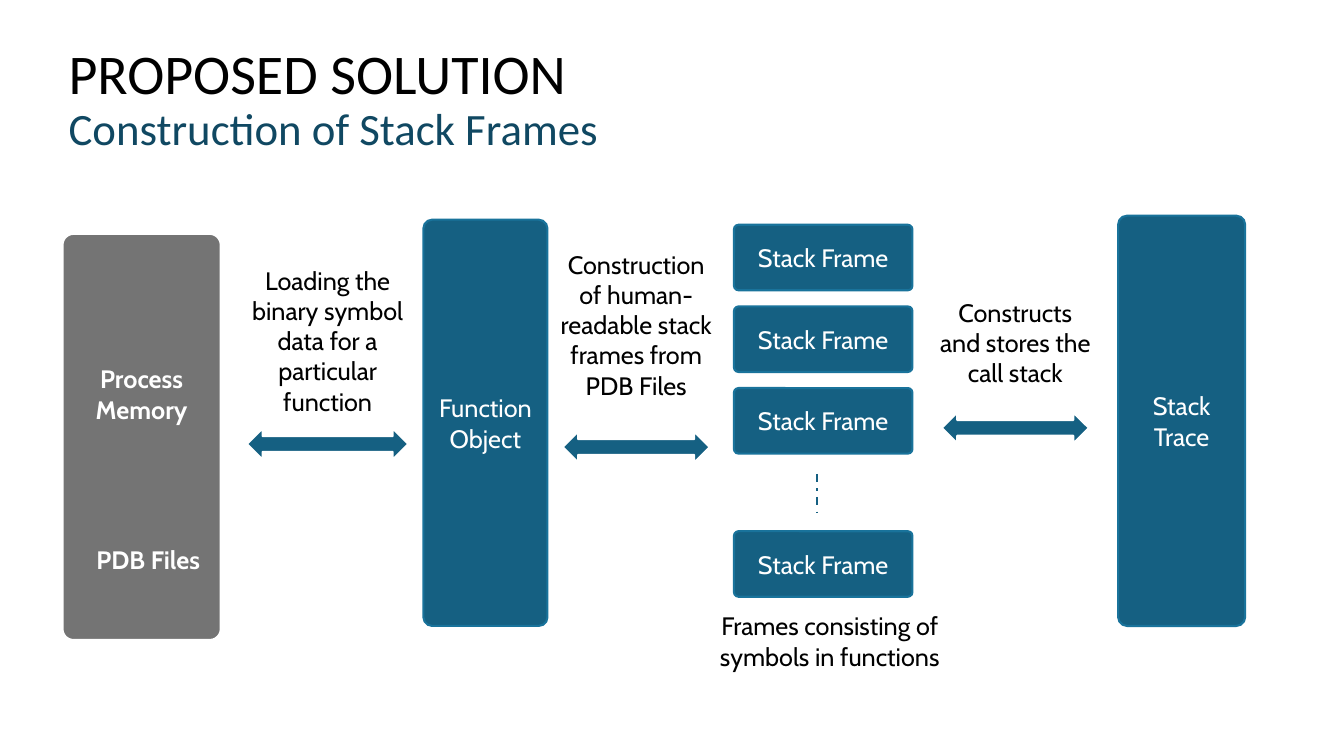
import pptx
import pptx.dml.color
import pptx.enum.dml
import pptx.enum.shapes
import pptx.enum.text
import pptx.oxml.ns
import pptx.util
from lxml import etree

Inches = pptx.util.Inches
Pt = pptx.util.Pt
Shape = pptx.enum.shapes.MSO_SHAPE
Anchor = pptx.enum.text.MSO_ANCHOR
Align = pptx.enum.text.PP_ALIGN
AutoSize = pptx.enum.text.MSO_AUTO_SIZE

COLOURS = {
    "blue": "156082",
    "edge": "19739B",
    "subtitle": "104862",
    "grey": "747474",
    "white": "FFFFFF",
    "black": "000000",
}


def colour(name):
    return pptx.dml.color.RGBColor.from_string(COLOURS[name])


def write(frame, text, tint, bold=False):
    """Fill a text frame with one centred paragraph."""
    frame.word_wrap = True
    para = frame.paragraphs[0]
    para.text = text
    para.alignment = Align.CENTER
    para.font.name = "Cabin"
    para.font.size = Pt(18)
    para.font.bold = bold
    para.font.color.rgb = colour(tint)


def add_figure(page, kind, box, fill="blue", edge="edge"):
    figure = page.shapes.add_shape(kind, *map(Inches, box))
    figure.shadow.inherit = False
    figure.fill.solid()
    figure.fill.fore_color.rgb = colour(fill)
    figure.line.color.rgb = colour(edge)
    figure.line.width = Pt(1.5)
    return figure


def add_block(page, box, text, fill="blue", edge="edge", bold=False):
    block = add_figure(page, Shape.ROUNDED_RECTANGLE, box, fill, edge)
    block.adjustments[0] = 0.07
    block.text_frame.vertical_anchor = Anchor.MIDDLE
    write(block.text_frame, text, "white", bold)
    return block


def add_label(page, box, text, tint="black", bold=False):
    label = page.shapes.add_textbox(*map(Inches, box))
    write(label.text_frame, text, tint, bold)
    label.text_frame.auto_size = AutoSize.SHAPE_TO_FIT_TEXT


def add_heading(page, box):
    title = page.shapes.title
    title.left, title.top, title.width, title.height = map(Inches, box)
    frame = title.text_frame
    frame.auto_size = AutoSize.NONE
    frame.vertical_anchor = Anchor.MIDDLE
    para = frame.paragraphs[0]
    para.alignment = Align.LEFT
    para.line_spacing = 0.9
    heading = para.add_run()
    heading.text = "PROPOSED SOLUTION"
    para.add_line_break()
    subtitle = para.add_run()
    subtitle.text = "Construction of Stack Frames"
    para.font.name = "Calibri"
    for span, size, tint in ((heading, 40, "black"), (subtitle, 32, "subtitle")):
        span.font.size = Pt(size)
        span.font.color.rgb = colour(tint)


def add_sources(page, box):
    """Grey column holding the two data sources."""
    left, top, width, height = box
    column = add_block(page, box, "Process Memory", "grey", "white", True)
    column.text_frame.margin_bottom = Inches(0.9)
    add_label(page, (left - 0.04, top + 3.03, width + 0.21, 0.4),
              "PDB Files", "white", True)


def add_step(page, box, text, arrow_top, arrow_width):
    """Caption with a double arrow centred below its top."""
    left, top, width, height = box
    add_label(page, box, text)
    arrow_left = left + (width - arrow_width) / 2
    add_figure(page, Shape.LEFT_RIGHT_ARROW,
               (arrow_left, top + arrow_top, arrow_width, 0.31), edge="white")


def add_frames(page, box):
    """Stack of frames, broken by a dashed line before the last one."""
    left, top, width, height = box
    frame_height = 0.65
    pitch = 0.81
    offsets = [pitch * row for row in range(3)] + [height - frame_height]
    for offset in offsets:
        add_block(page, (left, top + offset, width, frame_height), "Stack Frame")

    # Dashed line for the omitted frames
    middle = Inches(left + 0.82)
    dash = page.shapes.add_connector(
        pptx.enum.shapes.MSO_CONNECTOR.STRAIGHT,
        middle, Inches(top + 2.47), middle, Inches(top + 2.85))
    dash.line.color.rgb = colour("blue")
    dash.line.width = Pt(1.5)
    dash.line.dash_style = pptx.enum.dml.MSO_LINE.DASH_DOT
    etree.SubElement(dash.element.spPr, pptx.oxml.ns.qn("a:effectLst"))

    # Caption under the stack
    add_label(page, (left - 0.68, top + height + 0.09, 3.26, 0.71),
              "Frames consisting of symbols in functions")


def main():
    deck = pptx.Presentation()
    deck.slide_width = Inches(13.33)
    deck.slide_height = Inches(7.5)
    page = deck.slides.add_slide(deck.slide_layouts[5])

    add_heading(page, (0.58, 0.27, 11.5, 1.45))

    # Columns from left to right
    add_sources(page, (0.62, 2.32, 1.57, 4.03))
    add_block(page, (4.2, 2.18, 1.23, 4.03), "Function Object")
    add_frames(page, (7.28, 2.23, 1.77, 3.69))
    add_block(page, (11.09, 2.14, 1.26, 4.07), "Stack Trace")

    # Steps between the columns
    add_step(page, (2.36, 2.58, 1.78, 1.62),
             "Loading the binary symbol data for a particular function", 1.67, 1.6)
    add_step(page, (5.44, 2.42, 1.74, 1.92),
             "Construction of human-readable stack frames from PDB Files", 1.86, 1.46)
    add_step(page, (9.2, 2.9, 1.74, 1.01),
             "Constructs and stores the call stack", 1.19, 1.46)

    deck.save("out.pptx")


if __name__ == "__main__":
    main()
